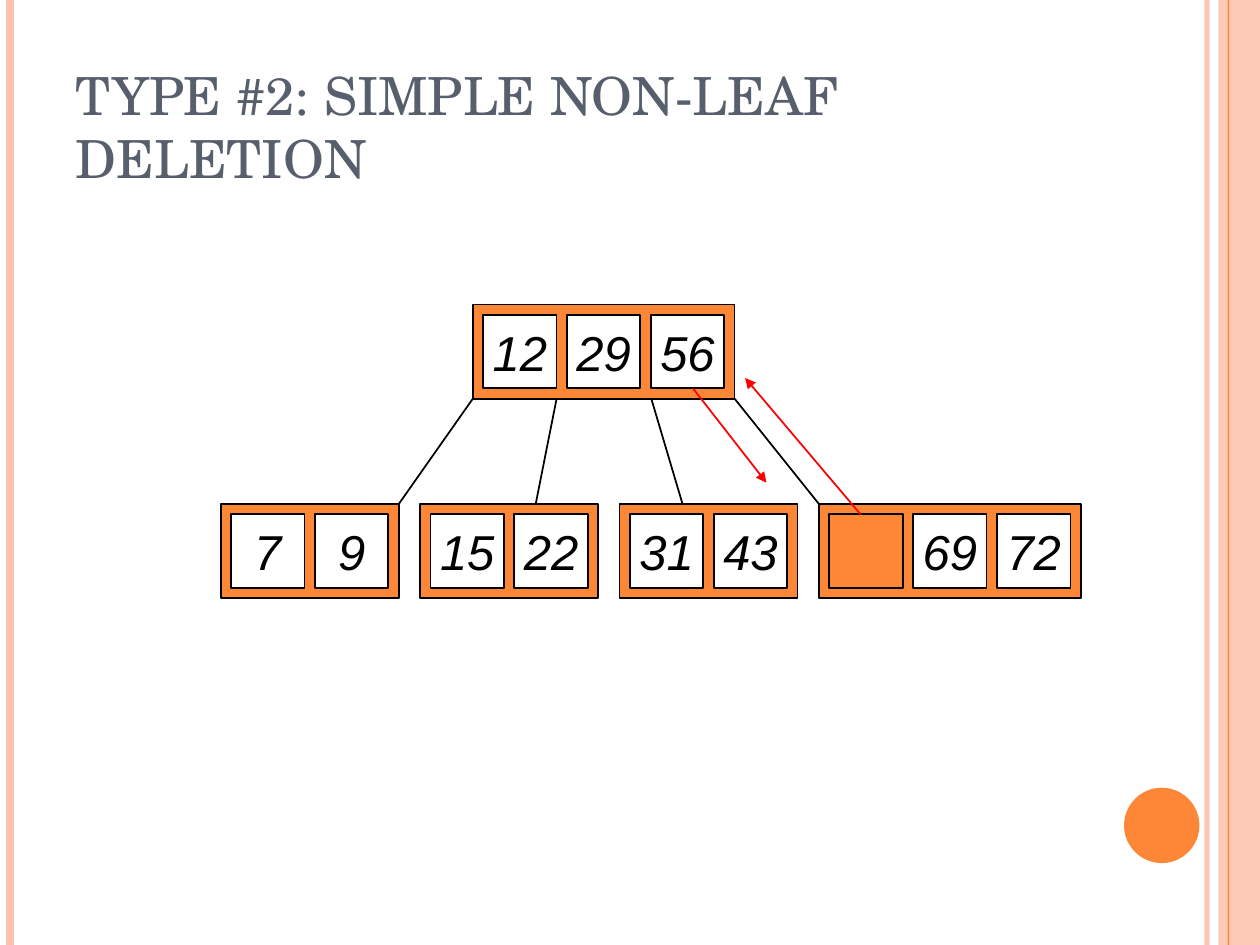
import lxml.etree
import pptx
import pptx.dml.color
import pptx.enum.shapes
import pptx.enum.text
import pptx.oxml.ns
import pptx.util

Cm = pptx.util.Cm
COLOURS = {"orange": "FE8637", "peach": "FEC3AE", "slate": "575F6D",
           "black": "000000", "white": "FFFFFF", "red": "FF0000"}
CELL, GAP = 1.48, 0.21
STEP = CELL + GAP
NODE_HEIGHT = CELL + 2 * GAP
LEAF_GAP = 0.43
LEAVES = [["7", "9"], ["15", "22"], ["31", "43"], ["", "69", "72"]]


def colour(name):
    """Return the named palette colour."""
    return pptx.dml.color.RGBColor.from_string(COLOURS[name])


def add_child(parent, tag, **attributes):
    """Append a DrawingML element to its parent."""
    return lxml.etree.SubElement(parent, pptx.oxml.ns.qn(tag), attributes)


def set_alpha(fill, percent):
    """Make a solid fill partly transparent."""
    element = fill._xPr.find(".//" + pptx.oxml.ns.qn("a:srgbClr"))
    add_child(element, "a:alpha", val=str(percent * 1000))


def write(shape, text, *, font, size, ink, italic=False, centred=False,
          anchor="MIDDLE", wrap=False):
    """Put one formatted paragraph in a shape."""
    frame = shape.text_frame
    frame.word_wrap = wrap
    frame.vertical_anchor = getattr(pptx.enum.text.MSO_ANCHOR, anchor)
    para = frame.paragraphs[0]
    alignment = pptx.enum.text.PP_ALIGN
    para.alignment = alignment.CENTER if centred else alignment.LEFT
    span = para.add_run()
    span.text = text
    span.font.name = font
    span.font.size = pptx.util.Pt(size)
    span.font.italic = italic
    span.font.color.rgb = colour(ink)


def add_block(page, left, top, width, height, fill, kind="RECTANGLE", outlined=True):
    """Draw a filled preset shape, with a black outline if wanted."""
    shape = page.shapes.add_shape(getattr(pptx.enum.shapes.MSO_SHAPE, kind),
                                  Cm(left), Cm(top), Cm(width), Cm(height))
    shape.shadow.inherit = False
    shape.fill.solid()
    shape.fill.fore_color.rgb = colour(fill)
    if outlined:
        shape.line.color.rgb = colour("black")
        shape.line.width = pptx.util.Pt(1)
    else:
        shape.line.fill.background()
    return shape


def add_line(page, start, end, ink="black", weight=1, arrow=False):
    """Draw a straight connector, with an arrowhead at its end if wanted."""
    line = page.shapes.add_connector(pptx.enum.shapes.MSO_CONNECTOR.STRAIGHT,
                                     *map(Cm, start + end))
    line.line.color.rgb = colour(ink)
    line.line.width = pptx.util.Pt(weight)
    if arrow:
        add_child(line.line._get_or_add_ln(), "a:tailEnd", type="triangle")
    add_child(line._element.spPr, "a:effectLst")
    return line


def add_frame(page, width, height):
    """Draw the side bands and the corner disc."""
    edge = add_line(page, (width - 1.07, 0), (width - 1.07, height), "peach", 3)
    set_alpha(edge.line.fill, 93)
    add_line(page, (0.21, 0), (0.21, height), "peach", 4.5)
    add_line(page, (width - 0.64, 0), (width - 0.64, height), "orange", 1.5)
    band = add_block(page, width - 0.84, 0, 0.84, height, "peach", outlined=False)
    set_alpha(band.fill, 87)
    add_line(page, (width - 0.64, 0), (width - 0.64, height), "orange", 0.75)
    add_block(page, width - 2.74, height - 3.17, 1.52, 1.52, "orange", "OVAL", False)


def add_title(page, left, top, width, height):
    """Write the slide title."""
    box = page.shapes.add_textbox(Cm(left), Cm(top), Cm(width), Cm(height))
    write(box, "TYPE #2: SIMPLE NON-LEAF DELETION", font="TeX Gyre Schola",
          size=30, ink="slate", anchor="BOTTOM", wrap=True)


def node_width(keys):
    """Return the width of a node holding these keys."""
    return len(keys) * STEP + GAP


def add_node(page, left, top, keys):
    """Draw a tree node with one cell per key; an empty key is a vacated cell."""
    add_block(page, left, top, node_width(keys), NODE_HEIGHT, "orange")
    for index, key in enumerate(keys):
        cell = add_block(page, left + GAP + index * STEP, top + GAP, CELL, CELL,
                         "white" if key else "orange")
        if key:
            write(cell, key, font="Arial", size=28, ink="black", italic=True, centred=True)


def add_tree(page, left, top):
    """Draw the root, its leaves, the links and the swap arrows."""
    root_keys = ["12", "29", "56"]
    root = left + 5.08
    root_right = root + node_width(root_keys)
    root_bottom = top + NODE_HEIGHT
    leaf_top = top + 4.02
    add_node(page, root, top, root_keys)
    lefts = []
    for keys in LEAVES:
        lefts.append(left)
        add_node(page, left, leaf_top, keys)
        left += node_width(keys) + LEAF_GAP
    links = [(root, lefts[0] + node_width(LEAVES[0])),
             (root + STEP, lefts[1] + 2.33),
             (root + 3.6, lefts[2] + 1.27),
             (root_right, lefts[3])]
    for upper, lower in links:
        add_line(page, (upper, root_bottom), (lower, leaf_top))
    add_line(page, (root_right - 0.84, root_bottom - GAP),
             (root_right + 0.64, leaf_top - 0.43), "red", arrow=True)
    add_line(page, (lefts[3] + 0.84, leaf_top + GAP),
             (root_right + 0.21, root_bottom - 0.42), "red", arrow=True)


def main():
    """Build and save the deck."""
    deck = pptx.Presentation()
    width, height = 25.4, 19.05
    deck.slide_width, deck.slide_height = Cm(width), Cm(height)
    page = deck.slides.add_slide(deck.slide_layouts[6])
    add_frame(page, width, height)
    add_title(page, 1.27, 0.76, 20.75, 3.18)
    add_tree(page, 4.45, 6.14)
    deck.save("out.pptx")


if __name__ == "__main__":
    main()
